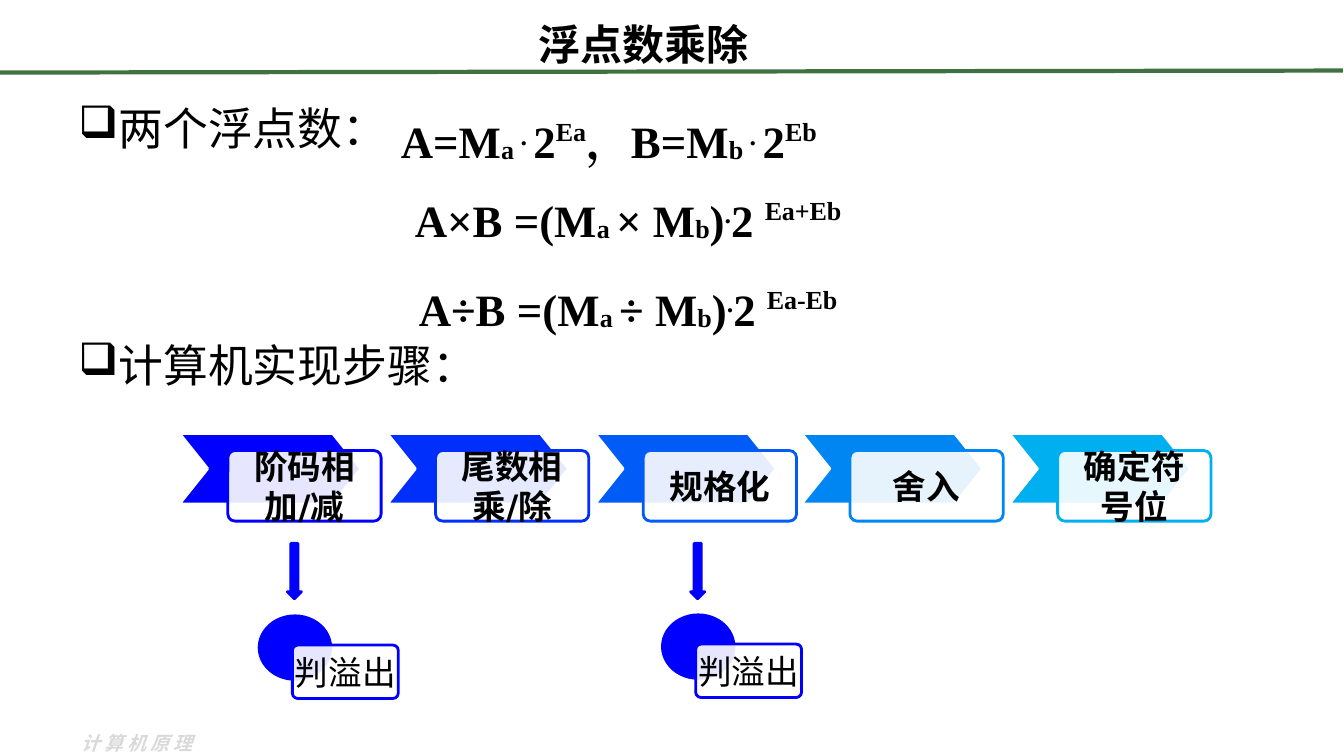
from lxml import etree
from pptx import Presentation
from pptx.dml.color import RGBColor
from pptx.enum.shapes import MSO_CONNECTOR, MSO_SHAPE
from pptx.enum.text import MSO_ANCHOR, PP_ALIGN
from pptx.oxml.ns import qn
from pptx.util import Pt

PX = 9144  # 100 px to the inch
CHEVRON, ROUND = MSO_SHAPE.CHEVRON, MSO_SHAPE.ROUNDED_RECTANGLE
OVAL, DOWN = MSO_SHAPE.OVAL, MSO_SHAPE.DOWN_ARROW
LEFT, CENTER = PP_ALIGN.LEFT, PP_ALIGN.CENTER
TOP, MIDDLE = MSO_ANCHOR.TOP, MSO_ANCHOR.MIDDLE
SANS, CJK, SERIF = "DejaVu Sans", "Noto Sans CJK SC", "Times New Roman"
BLACK, WHITE, BLUE, GREEN, GRAY = "000000", "FFFFFF", "0000FF", "3F7141", "D9D9D9"
SUB, DOT, SUP = -2, 30, 38

STEPS = [
    ("阶码相加/减", "0000FF"),
    ("尾数相乘/除", "002EFB"),
    ("规格化", "005BF7"),
    ("舍入", "0086F3"),
    ("确定符号位", "00AFEF"),
]
PAIR = [
    ("A=M", 0), ("a ", SUB), (". ", DOT), ("2", 0), ("Ea", SUP),
    ("，B=M", 0), ("b ", SUB), (". ", DOT), ("2", 0), ("Eb ", SUP),
]


def emu(*sizes):
    return [size * PX for size in sizes]


def color(target, code):
    target.rgb = RGBColor.from_string(code)


def write(frame, lines, font, align=CENTER, **format):
    """Fill a frame; each line is a list of (text, baseline percent) runs."""
    for i, runs in enumerate(lines):
        para = frame.paragraphs[0] if i == 0 else frame.add_paragraph()
        para.alignment = align
        for name, value in format.items():
            setattr(para, name, value)
        for words, shift in runs:
            run = para.add_run()
            run.text = words
            for name, value in font.items():
                if name == "color":
                    color(run.font.color, value)
                else:
                    setattr(run.font, name, value)
            props = run.font._element
            etree.SubElement(props, qn("a:ea"), typeface=font["name"])
            if shift:
                props.set("baseline", str(shift * 1000))


def style(name, size, bold=False, code=BLACK, italic=False):
    return dict(name=name, size=Pt(size), bold=bold, italic=italic, color=code)


def setup(frame, anchor, wrap=True, inset=None):
    frame.word_wrap, frame.vertical_anchor = wrap, anchor
    if inset is not None:
        for side in ("left", "right", "top", "bottom"):
            setattr(frame, "margin_" + side, inset * PX)


def label(slide, at, lines, font, anchor=TOP, wrap=True, **format):
    frame = slide.shapes.add_textbox(*emu(*at)).text_frame
    setup(frame, anchor, wrap)
    write(frame, lines, font, **format)
    return frame


def shape(slide, kind, at, fill, edge, adj=None):
    item = slide.shapes.add_shape(kind, *emu(*at))
    item.shadow.inherit = False
    item.fill.solid()
    color(item.fill.fore_color, fill)
    color(item.line.color, edge)
    item.line.width = Pt(2)
    if adj is not None:
        item.adjustments[0] = adj
    return item


def card(slide, at, words, edge, bold, inset, wrap, **format):
    """A slightly clear white box with a coloured edge."""
    item = shape(slide, ROUND, at, WHITE, edge, 0.1)
    tint = item.fill._xPr.find(qn("a:solidFill"))[0]
    etree.SubElement(tint, qn("a:alpha"), val="90000")
    setup(item.text_frame, MIDDLE, wrap, inset)
    write(item.text_frame, [[(words, 0)]], style(SANS, 24, bold), **format)


def step(slide, i, words, code):
    x = 178 + round(i * 205.75)
    shape(slide, CHEVRON, (x, 430, 180, 70), code, WHITE, 0.4)
    card(slide, (x + 48, 447, 152, 70), words, code, True, 19, True,
         space_after=Pt(8))


def check(slide, x, y):
    """An overflow check below a step."""
    shape(slide, OVAL, (x, y, 71, 63), BLUE, BLUE)
    card(slide, (x + 33, y + 29, 105, 53), "判溢出", BLUE, False, 0, False)
    shape(slide, DOWN, (x + 28, 539, 14, 55), BLUE, BLUE)


def rule(slide, ends, code):
    line = slide.shapes.add_connector(MSO_CONNECTOR.STRAIGHT, *emu(*ends))
    color(line.line.color, code)
    line.line.width = Pt(3)
    etree.SubElement(line._element.spPr, qn("a:effectLst"))


def bullets(slide):
    lines = [[("两个浮点数：", 0)], [("计算机实现步骤：", 0)]]
    frame = label(slide, (68, 95, 1194, 551), lines, style(SANS, 32), align=LEFT)
    for para, gap in zip(frame.paragraphs, (6, 131)):
        para.space_before = Pt(gap)
        props = para._p.get_or_add_pPr()
        props.set("marL", str(38 * PX))
        props.set("indent", str(-38 * PX))
        etree.SubElement(props, qn("a:buChar"), char="❑")


def result(sign, power):
    return [
        (f"A{sign}B =(M", 0), ("a ", SUB), (f"{sign} M", 0), ("b", SUB),
        (")", 0), (".", DOT), ("2 ", 0), (power, SUP),
    ]


def main():
    deck = Presentation()
    deck.slide_width, deck.slide_height = emu(1333, 750)
    slide = deck.slides.add_slide(deck.slide_layouts[6])

    foot = label(slide, (71, 721, 146, 34), [[("计算机原理", 0)]],
                 style(CJK, 13.5, True, GRAY, True), align=LEFT)
    foot.paragraphs[0].runs[0].font._element.set("spc", "300")
    label(slide, (170, 13, 936, 61), [[("浮点数乘除", 0)]],
          style(CJK, 30, True), MIDDLE)

    math = style(SERIF, 32, True)
    space = dict(line_spacing=1.6, space_before=Pt(2))
    label(slide, (375, 76, 464, 85), [PAIR], math, wrap=False, **space)
    label(slide, (290, 154, 666, 182),
          [result("×", "Ea+Eb"), result("÷", "Ea-Eb")], math, **space)
    bullets(slide)

    for i, (words, code) in enumerate(STEPS):
        step(slide, i, words, code)
    for x, y in ((257, 611), (657, 610)):
        check(slide, x, y)
    rule(slide, (0, 72, 1332, 70), GREEN)
    deck.save("out.pptx")


if __name__ == "__main__":
    main()
